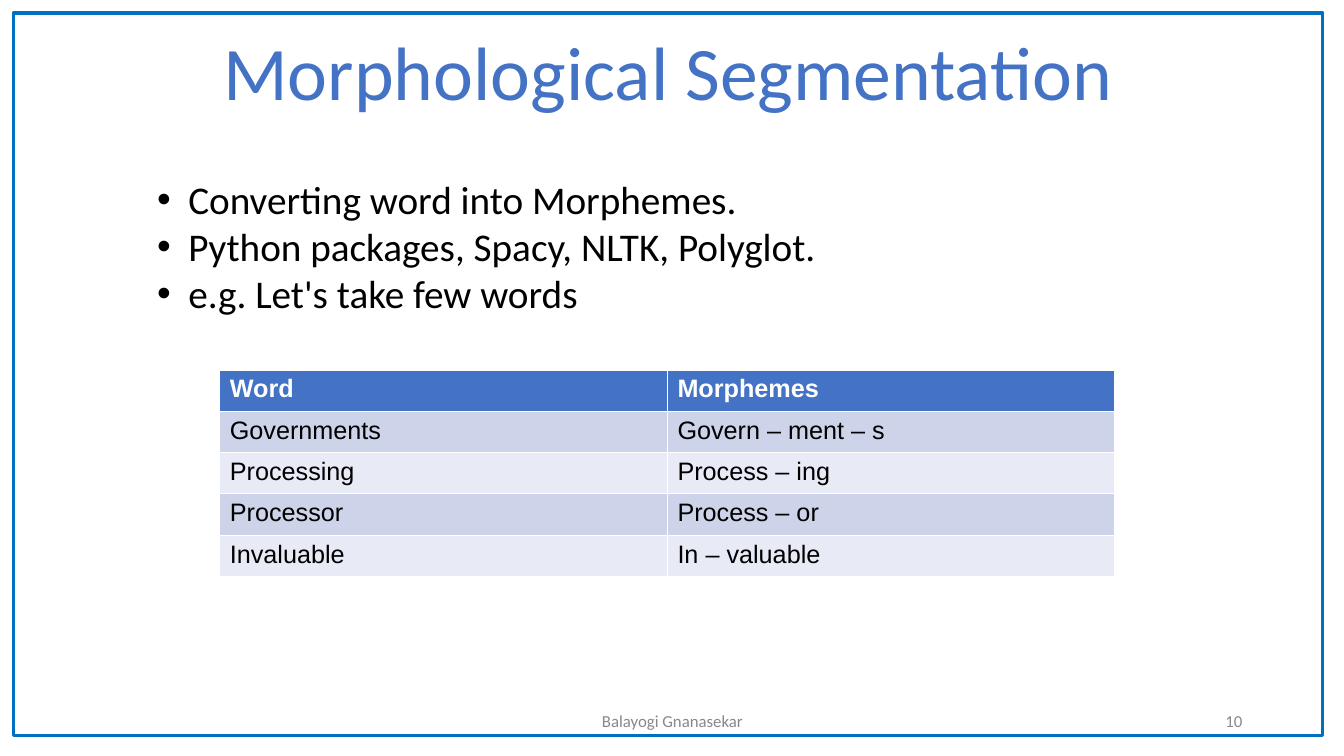
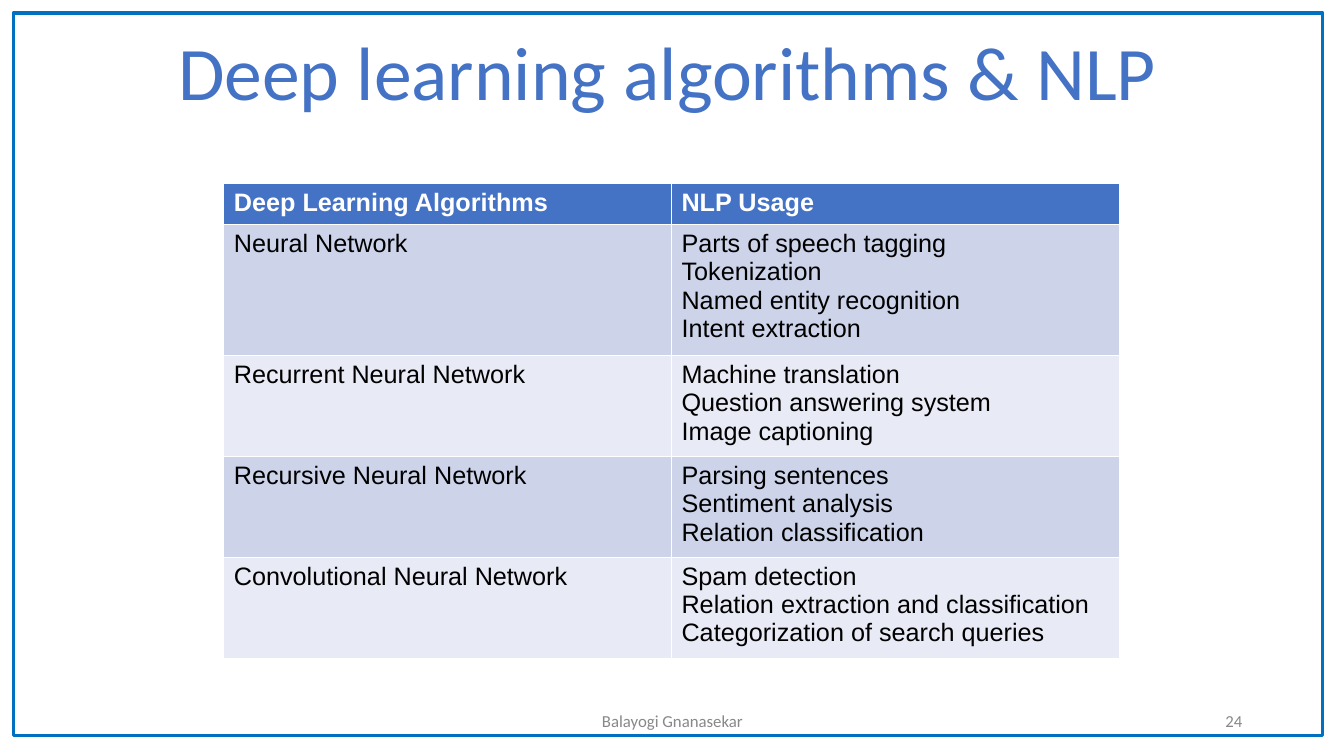
from dataclasses import dataclass

from lxml import etree
from pptx import Presentation
from pptx import util as u
from pptx.dml.color import RGBColor
from pptx.enum import shapes, text
from pptx.oxml import ns

FOOTER = "Balayogi Gnanasekar"
SLIDES = [
    {
        "title": "Morphological Segmentation",
        "title_box": (2.07, 0.2, 9.11, 1.01),
        "number": 10,
        "bullets": [
            "Converting word into Morphemes.",
            "Python packages, Spacy, NLTK, Polyglot.",
            "e.g. Let's take few words",
        ],
        "table_at": (2.18, 3.67),
        "rows": [
            ("Word", "Morphemes"),
            ("Governments", "Govern – ment – s"),
            ("Processing", "Process – ing"),
            ("Processor", "Process – or"),
            ("Invaluable", "In – valuable"),
        ],
    },
    {
        "title": "Deep learning algorithms & NLP",
        "title_box": (1.5, 0.2, 10.24, 1.01),
        "number": 24,
        "bullets": [],
        "table_at": (2.22, 1.82),
        "rows": [
            ("Deep Learning Algorithms", "NLP Usage"),
            ("Neural Network",
             "Parts of speech tagging\nTokenization\n"
             "Named entity recognition\nIntent extraction"),
            ("Recurrent Neural Network",
             "Machine translation\nQuestion answering system\nImage captioning"),
            ("Recursive Neural Network",
             "Parsing sentences\nSentiment analysis\nRelation classification"),
            ("Convolutional Neural Network",
             "Spam detection\nRelation extraction and classification\n"
             "Categorization of search queries"),
        ],
    },
]


@dataclass(frozen=True)
class Theme:
    accent: str = "4472C4"
    border: str = "0070C0"
    ink: str = "000000"
    paper: str = "FFFFFF"
    muted: str = "888888"
    bands: tuple = ("E8EBF5", "CDD4EA")
    font: str = "Calibri"
    table_font: str = "Arial"
    title: int = 54
    body: int = 28
    cell: int = 18
    small: int = 12


T = Theme()
WIDTH, HEIGHT = 13.33, 7.5
FRAME = (0.13, 0.13, 12.99, 7.17)
FOOTER_BOX = (4.42, 6.95, 4.5, 0.4)
NUMBER_BOX = (9.42, 6.95, 3, 0.4)
BULLET_BOX = (1.46, 1.69, 10.95, 1.99)
COL, ROW, INDENT = 4.44, 0.41, 0.31
ALIGN, ANCHOR = text.PP_ALIGN, text.MSO_ANCHOR


def inches(box):
    return [u.Inches(n) for n in box]


def style(frame, size, color, align=ALIGN.LEFT, font=T.font, bold=False):
    for para in frame.paragraphs:
        para.alignment = align
        for run in para.runs:
            run.font.name, run.font.size = font, u.Pt(size)
            run.font.bold = bold
            run.font.color.rgb = RGBColor.from_string(color)


def add_text(slide, box, words, size, color, align=ALIGN.LEFT, anchor=ANCHOR.TOP):
    frame = slide.shapes.add_textbox(*inches(box)).text_frame
    frame.word_wrap = True
    frame.vertical_anchor = anchor
    frame.text = words
    style(frame, size, color, align)
    return frame


def add_base(slide, data):
    """Add the border, footer, page number and title that every slide has."""
    edge = slide.shapes.add_shape(shapes.MSO_SHAPE.RECTANGLE, *inches(FRAME))
    edge.shadow.inherit = False
    edge.fill.background()
    edge.line.color.rgb = RGBColor.from_string(T.border)
    edge.line.width = u.Pt(2.25)
    for box, words, align in ((FOOTER_BOX, FOOTER, ALIGN.CENTER),
                              (NUMBER_BOX, str(data["number"]), ALIGN.RIGHT)):
        add_text(slide, box, words, T.small, T.muted, align, ANCHOR.MIDDLE)

    title = slide.shapes.title
    title.left, title.top, title.width, title.height = inches(data["title_box"])
    frame = title.text_frame
    frame.text = data["title"]
    frame.word_wrap = True
    frame.auto_size = text.MSO_AUTO_SIZE.NONE
    frame.vertical_anchor = ANCHOR.TOP
    style(frame, T.title, T.accent, ALIGN.CENTER)


def add_bullets(slide, lines):
    frame = add_text(slide, BULLET_BOX, "\n".join(lines), T.body, T.ink)
    for para in frame.paragraphs:
        props = para._p.get_or_add_pPr()
        props.set("marL", str(u.Inches(INDENT)))
        props.set("indent", str(-u.Inches(INDENT)))
        etree.SubElement(props, ns.qn("a:buFont"), typeface="Arial")
        etree.SubElement(props, ns.qn("a:buChar"), char="•")


def add_grid(slide, corner, rows):
    """Add a table with a header row; the default style draws white rules."""
    cols = len(rows[0])
    box = (*corner, COL * cols, ROW * len(rows))
    table = slide.shapes.add_table(len(rows), cols, *inches(box)).table
    for r, row in enumerate(rows):
        head = r == 0
        fill = T.accent if head else T.bands[r % 2]
        for c, words in enumerate(row):
            cell = table.cell(r, c)
            cell.text = words
            cell.fill.solid()
            cell.fill.fore_color.rgb = RGBColor.from_string(fill)
            style(cell.text_frame, T.cell, T.paper if head else T.ink,
                  font=T.table_font, bold=head)


def main():
    deck = Presentation()
    deck.slide_width, deck.slide_height = inches((WIDTH, HEIGHT))
    for data in SLIDES:
        slide = deck.slides.add_slide(deck.slide_layouts[5])
        add_base(slide, data)
        if data["bullets"]:
            add_bullets(slide, data["bullets"])
        add_grid(slide, data["table_at"], data["rows"])
    deck.save("out.pptx")


if __name__ == "__main__":
    main()
